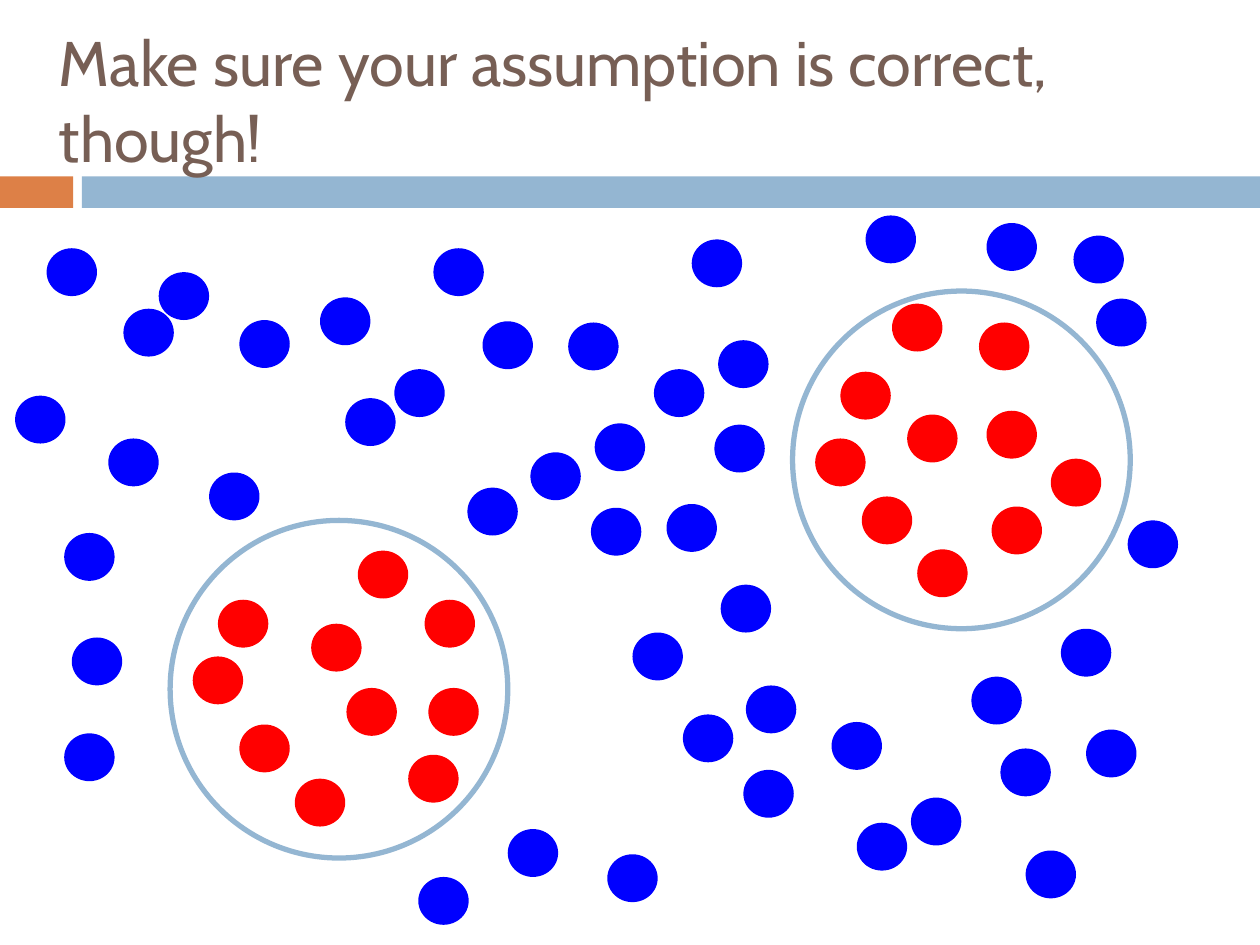
from dataclasses import dataclass

from pptx import Presentation
from pptx import util as u
from pptx.dml.color import RGBColor
from pptx.enum import shapes, text


@dataclass(frozen=True)
class Theme:
    font: str = "Cabin"
    title_size: int = 36
    ring_width: int = 3
    title: str = "775F55"
    accent: str = "DD8047"
    band: str = "94B6D2"
    inside: str = "FF0000"
    outside: str = "0000FF"


THEME = Theme()
SLIDE_W, SLIDE_H = 10, 7.5
DOT_W, DOT_H = 0.4, 0.38
RING_SIZE = 2.68

# Dot offsets (left, top) from the corner of the region that holds them
LOWER_CLUSTER = [
    (0.38, 0.63), (0.55, 1.62), (1.12, 0.82), (1.4, 1.33), (1.49, 0.24),
    (2.05, 1.33), (0.99, 2.05), (2.02, 0.63), (1.89, 1.86), (0.18, 1.08),
]
UPPER_CLUSTER = [
    (0.38, 0.64), (0.55, 1.63), (0.91, 0.98), (1.54, 0.95), (1.48, 0.25),
    (2.05, 1.33), (0.99, 2.05), (1.58, 1.71), (0.79, 0.1), (0.18, 1.17),
]
SCATTERED = [
    (3.32, 6.96), (4.03, 6.58), (7.71, 5.37), (8.42, 4.99), (8.62, 5.79),
    (5.9, 6.11), (6.6, 5.73), (6.8, 6.53), (5.02, 5.02), (5.72, 4.64),
    (5.92, 5.44), (4.82, 6.78), (5.42, 5.67), (0.51, 5.82), (0.57, 5.06),
    (0.51, 4.23), (7.23, 6.33), (7.94, 5.94), (8.14, 6.75), (4.69, 4.03),
    (4.51, 2.56), (4.72, 3.36), (4.21, 3.59), (5.67, 3.37), (5.49, 1.9),
    (5.7, 2.7), (5.19, 2.93), (5.29, 4), (3.71, 3.87), (1.66, 3.75),
    (0.98, 2.45), (0.86, 3.48), (0.12, 3.14), (0.37, 1.97), (6.87, 1.71),
    (8.52, 1.87), (7.83, 1.77), (8.95, 4.13), (8.7, 2.37), (3.44, 1.97),
    (3.13, 2.93), (3.83, 2.55), (2.54, 2.36), (2.74, 3.16), (1.9, 2.54),
    (1.26, 2.16),
]


def add_shape(page, kind, box, fill=None, line=None):
    shape = page.shapes.add_shape(kind, *map(u.Inches, box))
    shape.shadow.inherit = False
    if fill:
        shape.fill.solid()
        shape.fill.fore_color.rgb = RGBColor.from_string(fill)
    else:
        shape.fill.background()
    if line:
        shape.line.color.rgb = RGBColor.from_string(line)
        shape.line.width = u.Pt(THEME.ring_width)
    else:
        shape.line.fill.background()


def add_band(page, box):
    """Short accent block, a gap, then a bar to the right edge."""
    left, top, width, height = box
    block, bar_start = 0.58, 0.65
    rect = shapes.MSO_SHAPE.RECTANGLE
    add_shape(page, rect, (left, top, block, height), THEME.accent)
    add_shape(page, rect, (left + bar_start, top, width - bar_start, height), THEME.band)


def add_title(page, box, wording):
    frame = page.shapes.add_textbox(*map(u.Inches, box)).text_frame
    frame.word_wrap = True
    frame.vertical_anchor = text.MSO_ANCHOR.MIDDLE
    span = frame.paragraphs[0].add_run()
    span.text = wording
    span.font.name = THEME.font
    span.font.size = u.Pt(THEME.title_size)
    span.font.color.rgb = RGBColor.from_string(THEME.title)


def add_dots(page, box, offsets, color):
    left, top = box[:2]
    for dx, dy in offsets:
        add_shape(page, shapes.MSO_SHAPE.OVAL, (left + dx, top + dy, DOT_W, DOT_H), color)


def add_cluster(page, box, offsets):
    """Dots gathered inside an outlined circle."""
    add_dots(page, box, offsets, THEME.inside)
    add_shape(page, shapes.MSO_SHAPE.OVAL, box, line=THEME.band)


def main():
    deck = Presentation()
    deck.slide_width, deck.slide_height = u.Inches(SLIDE_W), u.Inches(SLIDE_H)
    page = deck.slides.add_slide(deck.slide_layouts[6])

    # Heading
    add_band(page, (0, 1.4, SLIDE_W, 0.25))
    add_title(page, (0.37, 0.25, 9.63, 1.08), "Make sure your assumption is correct, though!")

    # Two clusters, then the points around them
    add_cluster(page, (1.35, 4.13, RING_SIZE, RING_SIZE), LOWER_CLUSTER)
    add_cluster(page, (6.29, 2.31, RING_SIZE, RING_SIZE), UPPER_CLUSTER)
    add_dots(page, (0, 0, SLIDE_W, SLIDE_H), SCATTERED, THEME.outside)

    deck.save("out.pptx")


if __name__ == "__main__":
    main()
